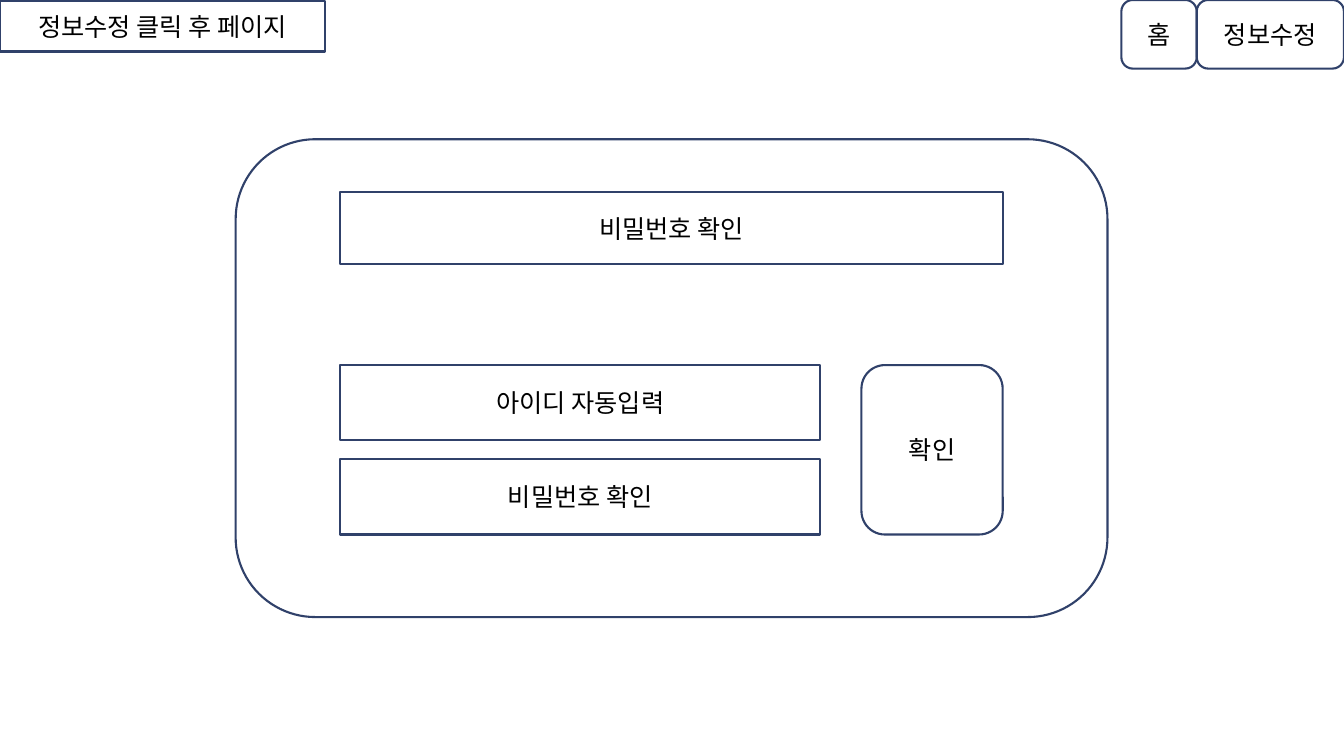
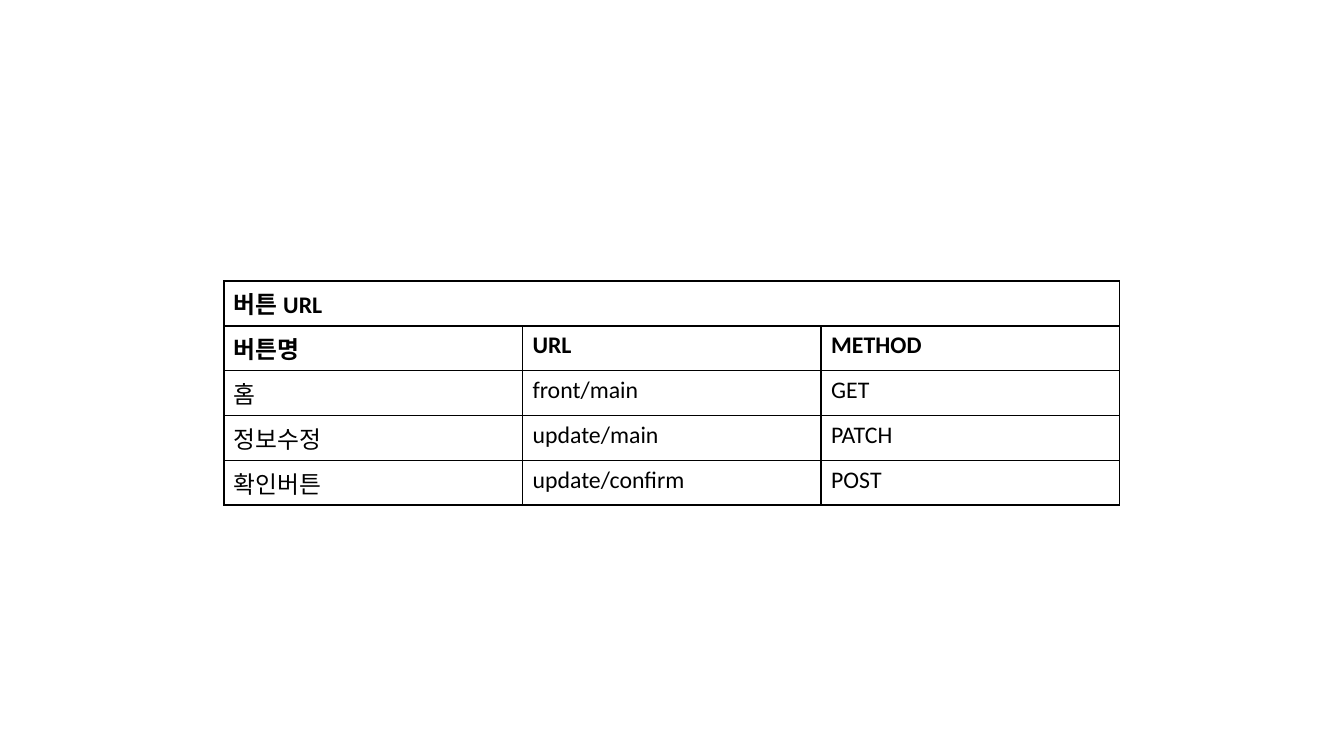
from lxml.etree import SubElement
from pptx import Presentation
from pptx.dml.color import RGBColor
from pptx.enum.shapes import MSO_SHAPE
from pptx.enum.text import MSO_ANCHOR, MSO_AUTO_SIZE, PP_ALIGN
from pptx.oxml.ns import qn
from pptx.util import Cm, Pt

NAVY, BLACK, WHITE = "30416A", "000000", "FFFFFF"
FONT = "Calibri"
WIDE, HIGH = 33.87, 19.05
RECT, ROUND = MSO_SHAPE.RECTANGLE, MSO_SHAPE.ROUNDED_RECTANGLE


def color(code):
    return RGBColor.from_string(code)


def write(par, text, size, bold=False):
    run = par.add_run()
    run.text = text
    font = run.font
    font.name, font.size, font.bold = FONT, Pt(size), bold
    font.color.rgb = color(BLACK)


def outline(shape, text=""):
    """Give a shape the shared navy outline and centred label."""
    shape.fill.background()
    shape.line.color.rgb = color(NAVY)
    shape.line.width = Pt(1.5)
    if text:
        frame = shape.text_frame
        frame.word_wrap = True
        frame.auto_size = MSO_AUTO_SIZE.NONE
        frame.vertical_anchor = MSO_ANCHOR.MIDDLE
        par = frame.paragraphs[0]
        par.alignment = PP_ALIGN.CENTER
        write(par, text, 18)


def add_box(slide, kind, x, y, w, h, text=""):
    shape = slide.shapes.add_shape(kind, Cm(x), Cm(y), Cm(w), Cm(h))
    shape.shadow.inherit = False
    outline(shape, text)


def add_title(slide, text, x, y, w, h):
    title = slide.shapes.title
    title.left, title.top, title.width, title.height = Cm(x), Cm(y), Cm(w), Cm(h)
    outline(title, text)


def add_menu(slide, right, y, h):
    """Place the menu buttons side by side, ending at the right edge."""
    for text, w in (("정보수정", 3.71), ("홈", 1.9)):
        right -= w
        add_box(slide, ROUND, right, y, w, h, text)


def add_form(slide, x, y, w, h):
    add_box(slide, ROUND, x, y, w, h)
    pad, field, pitch = 2.64, 1.9, 2.37
    left, inner, top = x + pad, w - 2 * pad, y + 5.69
    add_box(slide, RECT, left, y + 1.32, inner, 1.83, "비밀번호 확인")
    for i, text in enumerate(("아이디 자동입력", "비밀번호 확인")):
        add_box(slide, RECT, left, top + i * pitch, 12.09, field, text)
    button = 3.56
    add_box(slide, ROUND, left + inner - button, top, button, pitch + field, "확인")


def add_border(cell, code, width):
    props = cell._tc.get_or_add_tcPr()
    for i, side in enumerate(("a:lnL", "a:lnR", "a:lnT", "a:lnB")):
        line = SubElement(props, qn(side), w=str(Pt(width)))
        fill = SubElement(line, qn("a:solidFill"))
        SubElement(fill, qn("a:srgbClr"), val=code)
        props.insert(i, line)


def add_grid(slide, rows, x, y, w, h):
    """Add a table with a merged title row and a bold header row."""
    count = len(rows[1])
    table = slide.shapes.add_table(
        len(rows), count, Cm(x), Cm(y), Cm(w), Cm(h)).table
    table.first_row = table.horz_banding = False
    table.cell(0, 0).merge(table.cell(0, count - 1))
    for r in range(len(rows)):
        for c in range(count):
            cell = table.cell(r, c)
            cell.fill.solid()
            cell.fill.fore_color.rgb = color(WHITE)
            add_border(cell, BLACK, 1.2)
            if c < len(rows[r]):
                write(cell.text_frame.paragraphs[0], rows[r][c], 17, r < 2)


def form_slide(deck):
    slide = deck.slides.add_slide(deck.slide_layouts[5])
    add_title(slide, "정보수정 클릭 후 페이지", 0, 0.03, 8.2, 1.27)
    add_form(slide, 5.94, 3.51, 21.97, 12.04)
    add_menu(slide, WIDE, 0, 1.73)


def table_slide(deck):
    slide = deck.slides.add_slide(deck.slide_layouts[6])
    rows = [
        ("버튼 URL",),
        ("버튼명", "URL", "METHOD"),
        ("홈", "front/main", "GET"),
        ("정보수정", "update/main", "PATCH"),
        ("확인버튼", "update/confirm", "POST"),
    ]
    add_grid(slide, rows, 5.64, 7.08, 22.58, 5.65)


def main():
    deck = Presentation()
    deck.slide_width, deck.slide_height = Cm(WIDE), Cm(HIGH)
    form_slide(deck)
    table_slide(deck)
    deck.save("out.pptx")


if __name__ == "__main__":
    main()
